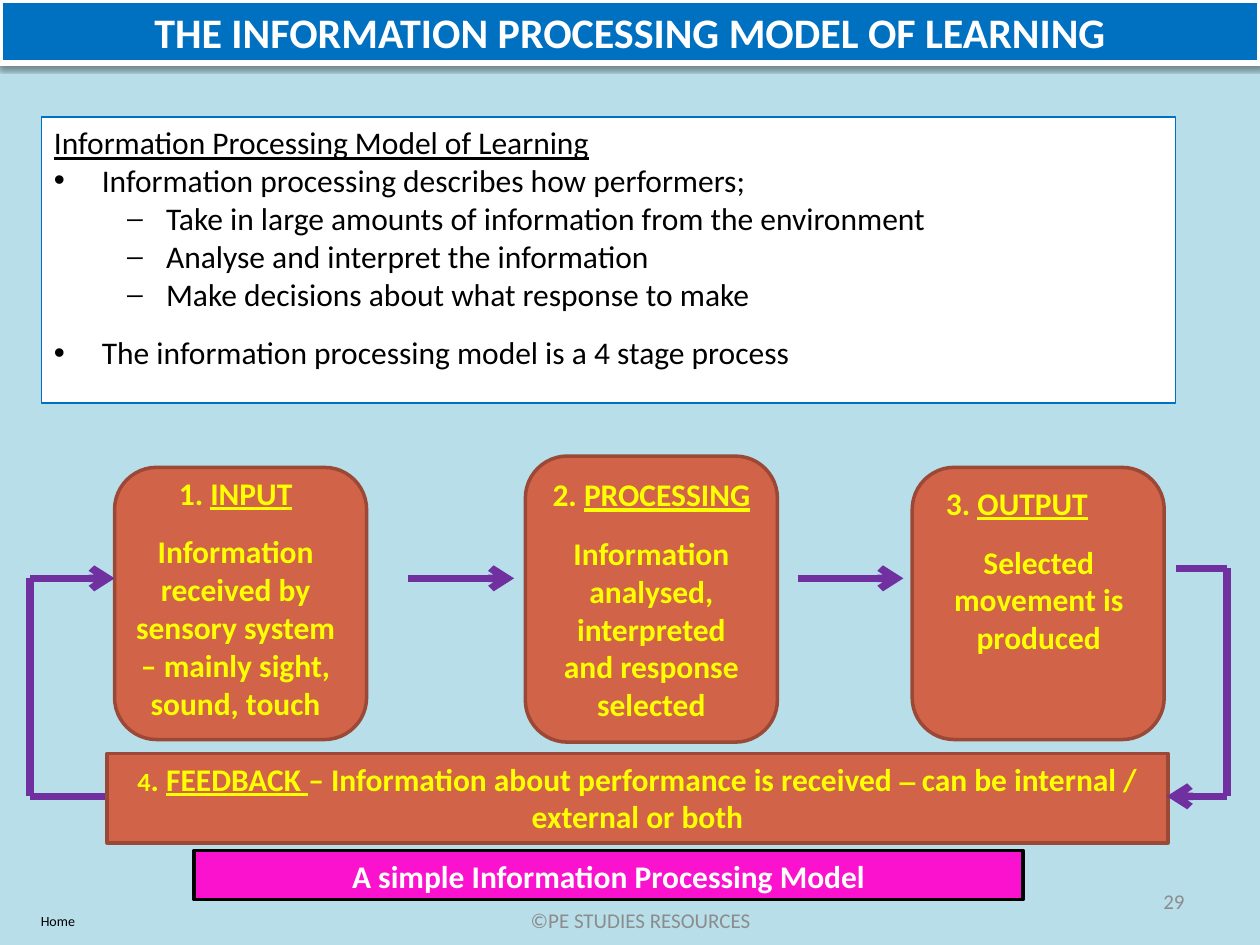
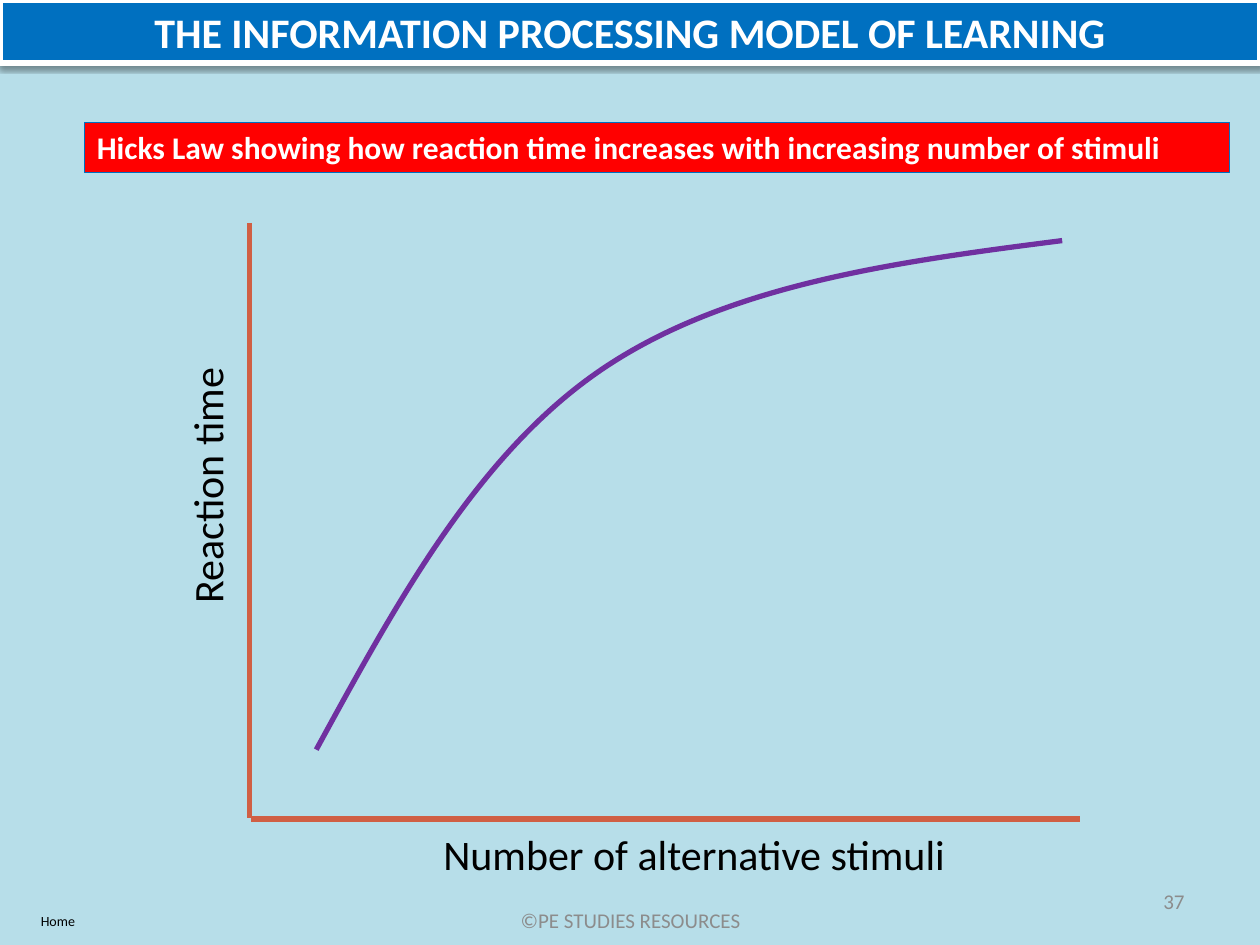
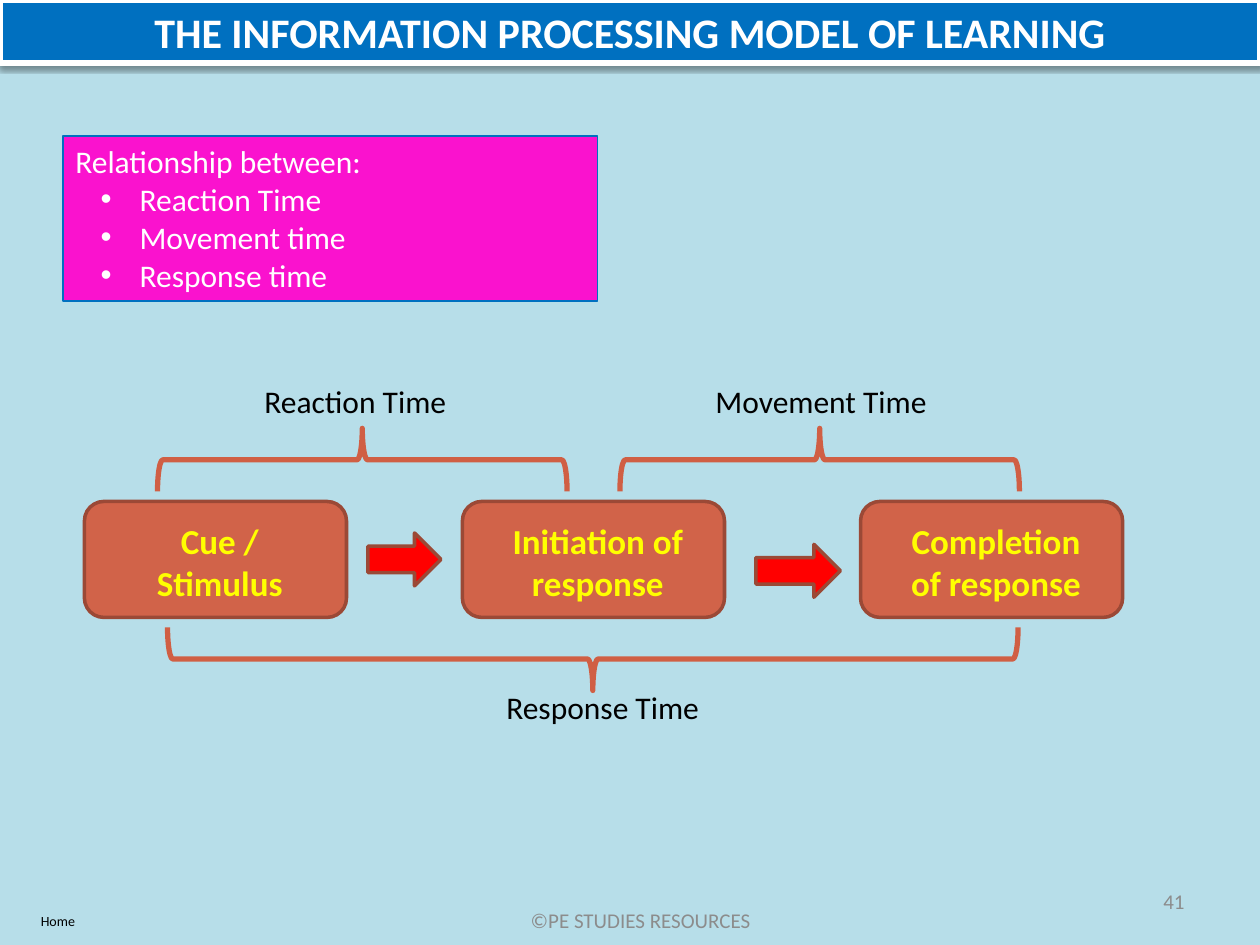
from dataclasses import dataclass
from typing import Optional

import pptx
import pptx.dml.color
import pptx.enum.shapes
import pptx.enum.text
import pptx.oxml
import pptx.oxml.ns
import pptx.util
from lxml import etree

RGB = pptx.dml.color.RGBColor
SHAPE = pptx.enum.shapes.MSO_SHAPE
ALIGN = pptx.enum.text.PP_ALIGN
ANCHOR = pptx.enum.text.MSO_ANCHOR
qn = pptx.oxml.ns.qn

SKY = RGB(0xB7, 0xDE, 0xE9)
BLUE = RGB(0x00, 0x70, 0xC0)
WHITE = RGB(0xFF, 0xFF, 0xFF)
BLACK = RGB(0x00, 0x00, 0x00)
GREY = RGB(0x8C, 0x8C, 0x8C)
TERRACOTTA = RGB(0xD1, 0x63, 0x49)
AXIS = RGB(0xD0, 0x5F, 0x44)
RUST = RGB(0x9B, 0x49, 0x36)
YELLOW = RGB(0xFF, 0xFF, 0x00)
PURPLE = RGB(0x70, 0x30, 0xA0)
MAGENTA = RGB(0xFA, 0x12, 0xCE)
RED = RGB(0xFF, 0x00, 0x00)

FONT = "Calibri"
SLIDE_WIDTH = pptx.util.Inches(10)
SLIDE_HEIGHT = pptx.util.Inches(7.5)
GRID_COLUMNS = 10
GRID_ROWS = 7.5


@dataclass
class Run:
    text: str
    underline: bool = False
    size: Optional[float] = None


@dataclass
class Line:
    """One paragraph; margin and hang are in grid columns, before in points."""
    runs: list
    align: int = ALIGN.LEFT
    before: float = 0
    margin: float = 0
    hang: float = 0
    bullet: str = ""


def col(count):
    return round(SLIDE_WIDTH * count / GRID_COLUMNS)


def row(count):
    return round(SLIDE_HEIGHT * count / GRID_ROWS)


def box(left, top, width, height):
    return col(left), row(top), col(width), row(height)


def centred(text, before=0):
    return Line([Run(text)], ALIGN.CENTER, before)


def plain(text):
    return Line([Run(text)])


def stage_heading(number, name, align=ALIGN.CENTER):
    return Line([Run(f"{number}. "), Run(name, underline=True)], align)


def write(shape, lines, size, color, bold=False, anchor=ANCHOR.TOP):
    frame = shape.text_frame
    frame.word_wrap = True
    frame.vertical_anchor = anchor
    for index, line in enumerate(lines):
        paragraph = frame.add_paragraph() if index else frame.paragraphs[0]
        paragraph.alignment = line.align
        if line.before:
            paragraph.space_before = pptx.util.Pt(line.before)
        properties = paragraph._p.get_or_add_pPr()
        if line.margin:
            properties.set("marL", str(col(line.margin)))
            properties.set("indent", str(-col(line.hang)))
        if line.bullet:
            etree.SubElement(properties, qn("a:buFont"), typeface="Arial")
            etree.SubElement(properties, qn("a:buChar"), char=line.bullet)
        for part in line.runs:
            run = paragraph.add_run()
            run.text = part.text
            font = run.font
            font.name = FONT
            font.size = pptx.util.Pt(part.size or size)
            font.bold = bold
            font.underline = part.underline
            font.color.rgb = color


def add_text(slide, area, lines, size, color=BLACK, **style):
    label = slide.shapes.add_textbox(*box(*area))
    write(label, lines, size, color, **style)
    return label


def add_panel(slide, area, fill, outline, weight, kind=SHAPE.RECTANGLE):
    panel = slide.shapes.add_shape(kind, *box(*area))
    panel.shadow.inherit = False
    if fill is None:
        panel.fill.background()
    else:
        panel.fill.solid()
        panel.fill.fore_color.rgb = fill
    panel.line.color.rgb = outline
    panel.line.width = pptx.util.Pt(weight)
    return panel


def add_stage(slide, area, kind=SHAPE.ROUNDED_RECTANGLE):
    return add_panel(slide, area, TERRACOTTA, RUST, 2, kind)


def add_line(slide, start, end, color, weight, arrow=False):
    line = slide.shapes.add_connector(
        pptx.enum.shapes.MSO_CONNECTOR.STRAIGHT,
        col(start[0]), row(start[1]), col(end[0]), row(end[1]))
    line.line.color.rgb = color
    line.line.width = pptx.util.Pt(weight)
    if arrow:
        etree.SubElement(line.line._get_or_add_ln(), qn("a:tailEnd"), type="arrow")
    etree.SubElement(line._element.spPr, qn("a:effectLst"))


def add_flow(slide, *stops, arrow=True):
    """Joins the stops with purple lines; the last one may carry an arrowhead."""
    for index in range(1, len(stops)):
        last = index == len(stops) - 1
        add_line(slide, stops[index - 1], stops[index], PURPLE, 4.25, arrow and last)


def add_brace(slide, left, top, width, rotation, height=0.5):
    """Lays a left brace on its side across the given width."""
    shift = (width - height) / 2
    area = (left + shift, top - shift, height, width)
    brace = add_panel(slide, area, None, AXIS, 3, SHAPE.LEFT_BRACE)
    brace.rotation = rotation


def add_curve(slide, start, controls, color, weight):
    """Draws Bezier segments; every three controls make one segment."""
    builder = slide.shapes.build_freeform(col(start[0]), row(start[1]))
    builder.add_line_segments([(col(x), row(y)) for x, y in controls], close=False)
    curve = builder.convert_to_shape()
    curve.shadow.inherit = False
    curve.fill.background()
    curve.line.color.rgb = color
    curve.line.width = pptx.util.Pt(weight)
    outline = next(curve._element.iter(qn("a:path")))
    steps = outline.findall(qn("a:lnTo"))
    for first in range(0, len(steps), 3):
        segment = etree.SubElement(outline, qn("a:cubicBezTo"))
        for step in steps[first:first + 3]:
            segment.append(step[0])
            outline.remove(step)


def add_title(slide):
    band = add_panel(slide, (0, 0, 10, 0.5), BLUE, WHITE, 3)
    write(band, [centred("THE INFORMATION PROCESSING MODEL OF LEARNING")],
          24, WHITE, bold=True)
    effects = band._element.spPr.find(qn("a:effectLst"))
    shadow = etree.SubElement(effects, qn("a:outerShdw"), blurRad="40000",
                              dist="20000", dir="5400000", rotWithShape="0")
    shade = etree.SubElement(shadow, qn("a:srgbClr"), val=str(BLACK))
    etree.SubElement(shade, qn("a:alpha"), val="38000")


def new_slide(deck, number, footer_left=3.5):
    slide = deck.slides.add_slide(deck.slide_layouts[6])
    slide.background.fill.solid()
    slide.background.fill.fore_color.rgb = SKY
    add_text(slide, (footer_left, 7.1, 3.17, 0.4), [centred("©PE STUDIES RESOURCES")],
             12, GREY, anchor=ANCHOR.MIDDLE)
    add_text(slide, (7.17, 6.95, 2.33, 0.4), [Line([Run(str(number))], ALIGN.RIGHT)],
             12, GREY, anchor=ANCHOR.MIDDLE)
    add_text(slide, (0, 7.19, 0.92, 0.24), [centred("Home")], 8)
    add_title(slide)
    return slide


def build_model_slide(deck):
    slide = new_slide(deck, 29)

    def point(text, before=0):
        return Line([Run(text)], before=before, margin=0.38, hang=0.38, bullet="•")

    def detail(text):
        return Line([Run(text)], margin=0.89, hang=0.31, bullet="⎯")

    summary = add_panel(slide, (0.33, 0.93, 9, 2.27), WHITE, BLUE, 0.75)
    write(summary, [
        Line([Run("Information Processing Model of Learning", underline=True)],
             margin=0.38, hang=0.38),
        point("Information processing describes how performers;"),
        detail("Take in large amounts of information from the environment"),
        detail("Analyse and interpret the information"),
        detail("Make decisions about what response to make"),
        point("The information processing model is a 4 stage process", before=12),
    ], 18, BLACK)

    processing = add_stage(slide, (4.17, 3.62, 2, 2.27))
    write(processing, [
        stage_heading(2, "PROCESSING"),
        centred("Information analysed, interpreted and response selected", 12),
    ], 18, YELLOW, bold=True, anchor=ANCHOR.MIDDLE)
    for left in (0.91, 7.24):
        add_stage(slide, (left, 3.71, 2, 2.16))
    add_text(slide, (0.91, 3.71, 1.92, 2.01), [
        stage_heading(1, "INPUT"),
        centred("Information received by sensory system – mainly sight, sound, touch", 12),
    ], 18, YELLOW, bold=True)
    add_text(slide, (7.41, 3.79, 1.67, 1.42), [
        stage_heading(3, "OUTPUT", ALIGN.LEFT),
        centred("Selected movement is produced", 12),
    ], 18, YELLOW, bold=True)

    feedback = add_stage(slide, (0.85, 5.98, 8.42, 0.71), SHAPE.RECTANGLE)
    write(feedback, [Line([
        Run("4", size=15),
        Run(". "),
        Run("FEEDBACK ", underline=True),
        Run("– Information about performance is received ⎯ can be internal / "
            "external or both"),
    ], ALIGN.CENTER)], 18, YELLOW, bold=True)

    caption = add_panel(slide, (1.54, 6.75, 6.58, 0.39), MAGENTA, BLACK, 2)
    write(caption, [centred("A simple Information Processing Model")],
          18, WHITE, bold=True)

    flow_row, feedback_row, output_row = 4.59, 6.32, 4.51
    for left in (3.24, 6.33):
        add_flow(slide, (left, flow_row), (left + 0.84, flow_row))
    add_flow(slide, (0.83, feedback_row), (0.24, feedback_row),
             (0.24, flow_row), (0.91, flow_row))
    add_flow(slide, (9.33, output_row), (9.74, output_row),
             (9.74, feedback_row), (9.26, feedback_row))


def build_hicks_law_slide(deck):
    slide = new_slide(deck, 37, footer_left=3.42)
    heading = add_panel(slide, (0.67, 0.97, 9.09, 0.4), RED, BLUE, 0.75)
    write(heading, [plain("Hicks Law showing how reaction time increases with "
                          "increasing number of stimuli")], 18, WHITE, bold=True)
    add_line(slide, (1.98, 1.77), (1.98, 6.49), AXIS, 3)
    add_line(slide, (1.99, 6.5), (8.57, 6.5), AXIS, 3)
    add_text(slide, (3.42, 6.53, 4.55, 0.5), [plain("Number of alternative stimuli")], 24)
    reaction_label = add_text(slide, (0.5, 3.5, 2.28, 0.5), [plain("Reaction time")], 24)
    reaction_label.rotation = 270
    add_curve(slide, (2.51, 5.95), [
        (3.15, 4.78), (3.79, 3.6), (4.78, 2.93),
        (5.77, 2.26), (7.1, 2.08), (8.43, 1.91),
    ], PURPLE, 3)


def build_response_time_slide(deck):
    slide = new_slide(deck, 41)
    relationship = add_panel(slide, (0.5, 1.08, 4.24, 1.31), MAGENTA, BLUE, 0.75)
    times = [Line([Run(name)], margin=0.51, hang=0.31, bullet="•")
             for name in ("Reaction Time", "Movement time", "Response time")]
    write(relationship, [plain("Relationship between:"), *times], 18, WHITE)

    events = [(0.67, "Cue / Stimulus"), (3.67, "Initiation of response"),
              (6.83, "Completion of response")]
    for left, event in events:
        add_stage(slide, (left, 3.98, 2.08, 0.92))
        add_text(slide, (left + 0.16, 4.07, 1.83, 0.77), [centred(event)],
                 20, YELLOW, bold=True)

    for left, top, width in ((2.92, 4.23, 0.58), (6, 4.32, 0.67)):
        add_panel(slide, (left, top, width, 0.42), RED, RUST, 2, SHAPE.RIGHT_ARROW)

    add_brace(slide, 1.25, 3.4, 3.25, 90)
    add_brace(slide, 4.92, 3.4, 3.17, 90)
    add_brace(slide, 1.33, 4.98, 6.75, 270)
    for left, top, width, name in ((2, 2.98, 2.17, "Reaction Time"),
                                   (5.58, 2.98, 2.17, "Movement Time"),
                                   (3.92, 5.41, 2.67, "Response Time")):
        add_text(slide, (left, top, width, 0.4), [plain(name)], 18)


def main():
    deck = pptx.Presentation()
    deck.slide_width = SLIDE_WIDTH
    deck.slide_height = SLIDE_HEIGHT
    build_model_slide(deck)
    build_hicks_law_slide(deck)
    build_response_time_slide(deck)
    deck.save("out.pptx")


if __name__ == "__main__":
    main()
